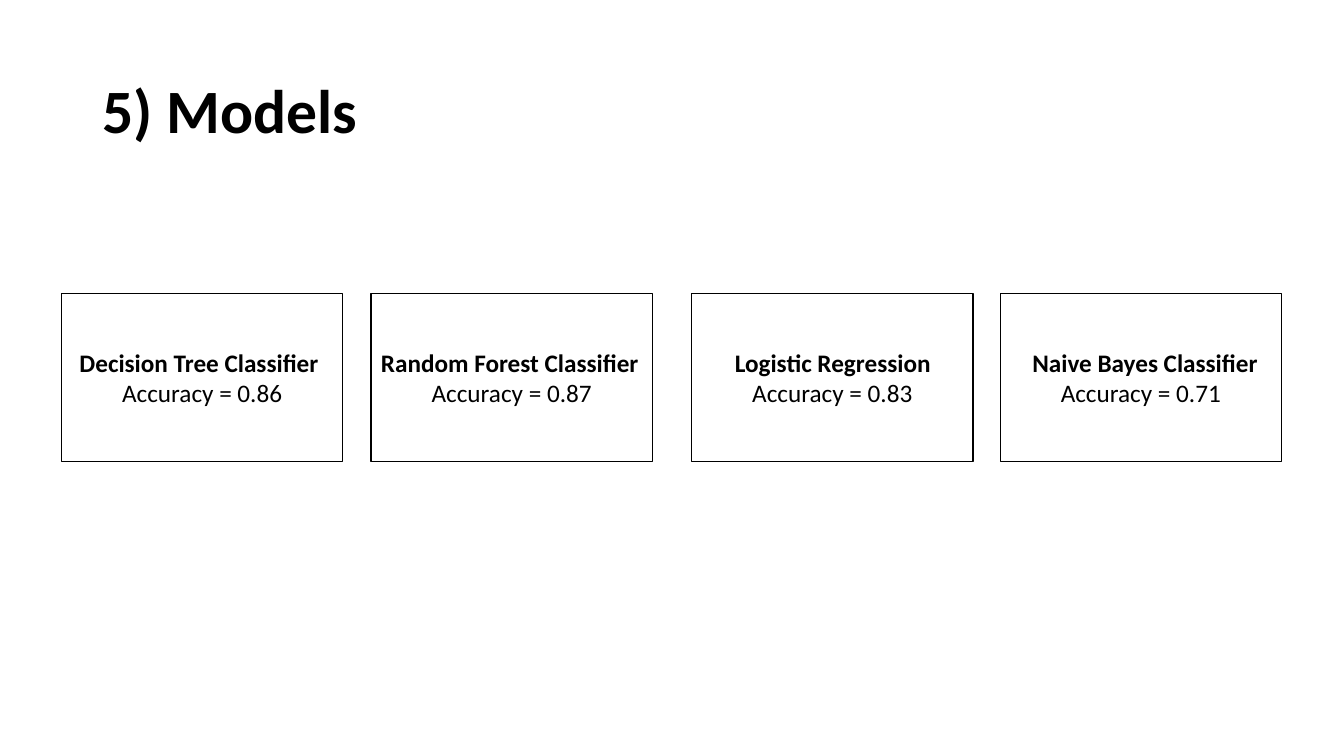
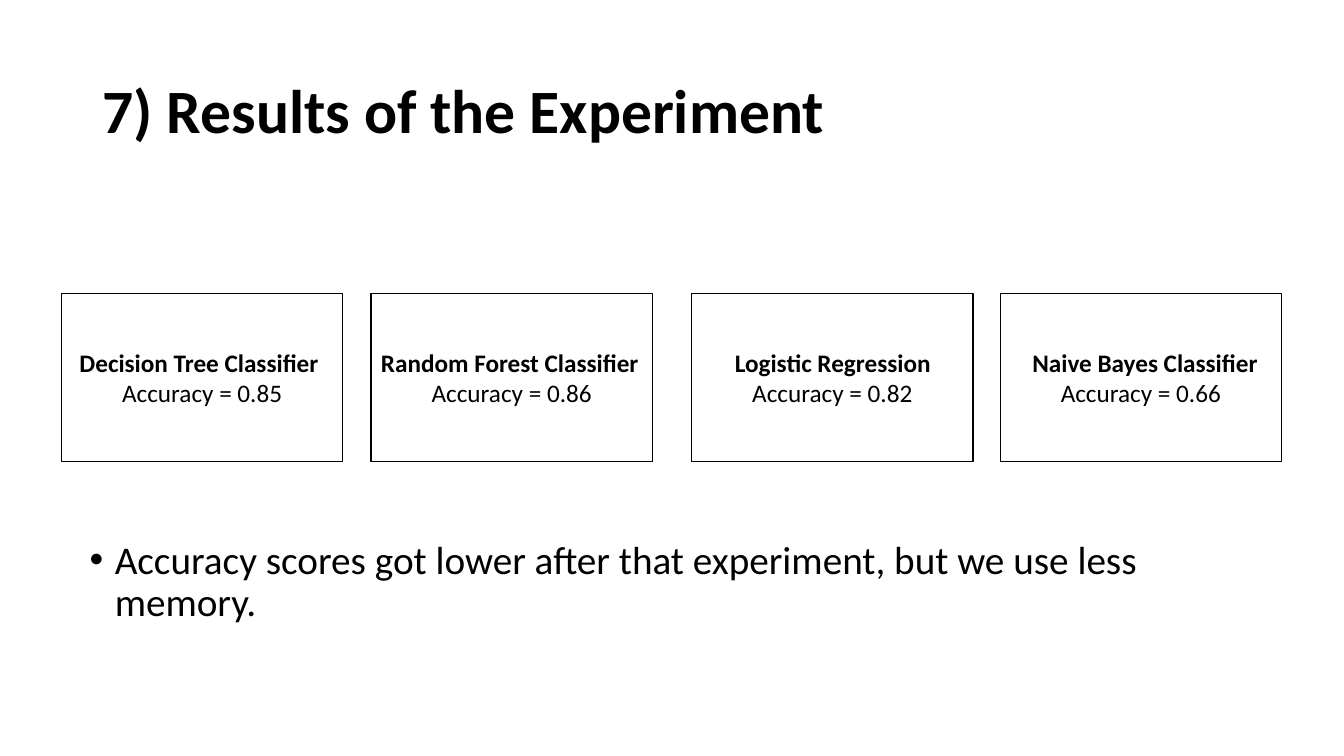
from pptx import Presentation
from pptx.dml.color import RGBColor
from pptx.enum.shapes import MSO_SHAPE
from pptx.enum.text import MSO_ANCHOR, PP_ALIGN
from pptx.oxml.ns import qn
from pptx.util import Inches, Pt
from lxml import etree

RECT = MSO_SHAPE.RECTANGLE
TOP, MIDDLE = MSO_ANCHOR.TOP, MSO_ANCHOR.MIDDLE
LEFT, CENTER = PP_ALIGN.LEFT, PP_ALIGN.CENTER

FONT = "Calibri"
INK, PAPER = "000000", "FFFFFF"
BOX_TOP, BOX_W, BOX_H = 2.91, 2.79, 1.67

# Model name, left edge of its box, indent of the name inside the box
MODELS = [
    ("Decision Tree Classifier", 0.61, 0.08),
    ("Random Forest Classifier", 3.68, 0),
    ("Logistic Regression", 6.86, 0.33),
    ("Naive Bayes Classifier", 9.92, 0.22),
]


def color(code):
    return RGBColor.from_string(code)


def add_run(para, text, size, bold=False):
    run = para.add_run()
    run.text = text
    font = run.font
    font.name, font.size, font.bold = FONT, Pt(size), bold
    font.color.rgb = color(INK)


def indent(para, left, first=0):
    """Set the left margin and first-line offset of a paragraph."""
    props = para._p.get_or_add_pPr()
    props.set("marL", str(Inches(left)))
    props.set("indent", str(Inches(first)))
    return props


def add_text(slide, left, top, width, height, anchor):
    """Add an empty text box and return its first paragraph."""
    box = slide.shapes.add_textbox(
        Inches(left), Inches(top), Inches(width), Inches(height))
    frame = box.text_frame
    frame.word_wrap = True
    frame.vertical_anchor = anchor
    para = frame.paragraphs[0]
    para.line_spacing = 0.9
    return para


def add_title(slide, text):
    para = add_text(slide, 0.92, 0.4, 11.5, 1.45, MIDDLE)
    add_run(para, text, 44, bold=True)


def add_bullet(slide, text):
    para = add_text(slide, 0.79, 5.31, 11.62, 1.61, TOP)
    props = indent(para, 0.25, -0.25)
    etree.SubElement(props, qn("a:buFont")).set("typeface", "Arial")
    etree.SubElement(props, qn("a:buChar")).set("char", "•")
    add_run(para, text, 28)


def add_model(slide, name, left, inset, score):
    box = slide.shapes.add_shape(
        RECT, Inches(left), Inches(BOX_TOP), Inches(BOX_W), Inches(BOX_H))
    box.shadow.inherit = False
    box.fill.solid()
    box.fill.fore_color.rgb = color(PAPER)
    box.line.color.rgb = color(INK)
    box.line.width = Pt(1)
    frame = box.text_frame
    frame.word_wrap = True
    frame.vertical_anchor = MIDDLE
    head = frame.paragraphs[0]
    head.alignment = LEFT
    indent(head, inset)
    add_run(head, name, 18, bold=True)
    value = frame.add_paragraph()
    value.alignment = CENTER
    add_run(value, f"Accuracy = {score:.2f}", 18)


def add_slide(deck, title, scores):
    """Add a slide with a title and one scored box per model."""
    slide = deck.slides.add_slide(deck.slide_layouts[6])
    add_title(slide, title)
    for (name, left, inset), score in zip(MODELS, scores):
        add_model(slide, name, left, inset, score)
    return slide


def main():
    deck = Presentation()
    deck.slide_width, deck.slide_height = Inches(13.33), Inches(7.5)
    add_slide(deck, "5) Models", [0.86, 0.87, 0.83, 0.71])
    slide = add_slide(deck, "7) Results of the Experiment",
                      [0.85, 0.86, 0.82, 0.66])
    add_bullet(slide, "Accuracy scores got lower after that experiment, "
                      "but we use less memory.")
    deck.save("out.pptx")


if __name__ == "__main__":
    main()
